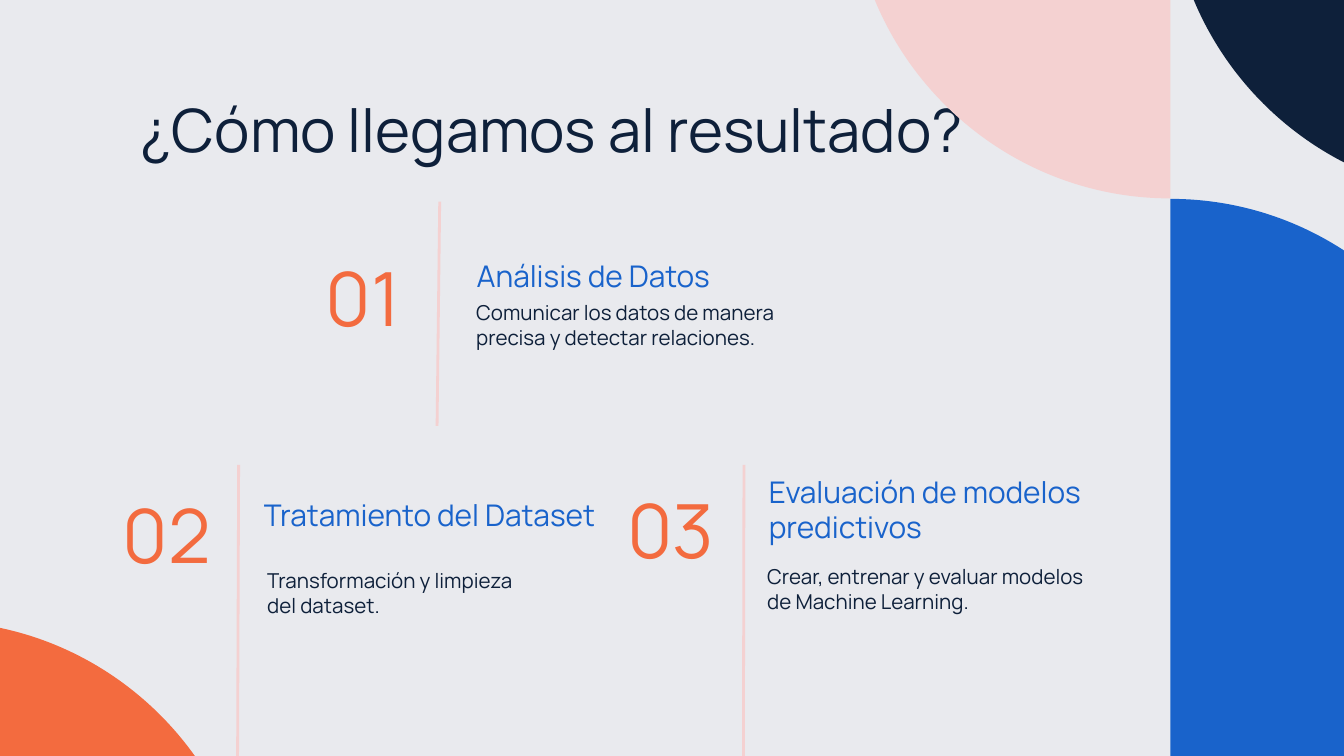
import math
from lxml import etree
from pptx import Presentation
from pptx import util as u
from pptx.dml.color import RGBColor
from pptx.enum import shapes, text
from pptx.oxml import ns

hues = {"paper": "E9EAEE", "navy": "0E203A", "pink": "F4D1D1",
        "blue": "1963CB", "orange": "F36B3F"}
top, middle = text.MSO_ANCHOR.TOP, text.MSO_ANCHOR.MIDDLE


def tint(name):
    return RGBColor.from_string(hues[name])


def write(box, words, size, hue, anchor):
    frame = box.text_frame
    frame.text = words
    frame.word_wrap = True
    frame.auto_size = text.MSO_AUTO_SIZE.NONE
    frame.vertical_anchor = anchor
    frame.margin_left = frame.margin_right = u.Cm(0.25)
    frame.margin_top = frame.margin_bottom = u.Cm(0.25)
    for para in frame.paragraphs:
        para.alignment = text.PP_ALIGN.LEFT
        for run in para.runs:
            run.font.name = "Manrope"
            run.font.size = u.Pt(size)
            run.font.color.rgb = tint(hue)


deck = Presentation()
deck.slide_width, deck.slide_height = u.Cm(25.4), u.Cm(14.29)
slide = deck.slides.add_slide(deck.slide_layouts[5])
slide.background.fill.solid()
slide.background.fill.fore_color.rgb = tint("paper")

radius, bulge = 6.04, 0.55
discs = [("navy", 28.14, -2.31, 90), ("pink", 22.12, -2.29, 90),
         ("blue", 22.12, 9.8, 270), ("orange", -1.24, 17.78, 180)]
for hue, mid_x, mid_y, start in discs:
    rays = []
    for turn in (0, 90, 180):
        angle = math.radians(start + turn)
        rays.append((radius * math.cos(angle), radius * math.sin(angle)))
    ends = [(u.Cm(mid_x + x), u.Cm(mid_y + y)) for x, y in rays]
    pen = slide.shapes.build_freeform(*ends[0])
    pen.add_line_segments(ends[1:], close=True)
    half = pen.convert_to_shape()
    half.shadow.inherit = False
    half.fill.solid()
    half.fill.fore_color.rgb = tint(hue)
    half.line.fill.background()
    sides = list(half.element.iter(ns.qn("a:lnTo")))
    for side, (ax, ay), (bx, by) in zip(sides, rays, rays[1:]):
        curve = etree.Element(ns.qn("a:cubicBezTo"))
        for x, y in [(ax + bulge * bx, ay + bulge * by),
                     (bx + bulge * ax, by + bulge * ay), (bx, by)]:
            etree.SubElement(curve, ns.qn("a:pt"),
                             x=str(u.Cm(mid_x + x) - half.left),
                             y=str(u.Cm(mid_y + y) - half.top))
        side.getparent().replace(side, curve)

title = slide.shapes.title
title.left, title.top = u.Cm(2.41), u.Cm(1.5)
title.width, title.height = u.Cm(18.82), u.Cm(1.6)
write(title, "¿Cómo llegamos al resultado?", 32, "navy", top)

steps = [
    ("01", (5.91, 4.78, 2.24, 1.65),
     "Análisis de Datos", (8.76, 4.48, 6.38, 1.47),
     "Comunicar los datos de manera precisa y detectar relaciones.",
     (8.75, 5.46, 6.38, 1.35), middle, (8.31, 3.81, 8.26, 8.05)),
    ("02", (2.07, 9.27, 2.24, 1.65),
     "Tratamiento del Dataset", (4.74, 8.97, 7.09, 1.5),
     "Transformación y limpieza\ndel dataset.",
     (4.42, 10.49, 5.92, 1.3), top, (4.51, 8.79, 4.49, 14.29)),
    ("03", (11.61, 9.17, 2.24, 1.65),
     "Evaluación de modelos predictivos", (14.28, 8.89, 7.65, 1.47),
     "Crear, entrenar y evaluar modelos\nde Machine Learning.",
     (14.25, 10.45, 7.42, 1.35), middle, (14.06, 8.79, 14.05, 14.29)),
]
for number, num_at, head, head_at, body, body_at, anchor, rule_at in steps:
    for words, place, size, hue, hold in [
            (number, num_at, 40, "orange", middle),
            (head, head_at, 16, "blue", middle),
            (body, body_at, 11, "navy", anchor)]:
        box = slide.shapes.add_textbox(*map(u.Cm, place))
        write(box, words, size, hue, hold)
        if hold == top:
            for props in box.element.iter(ns.qn("a:pPr")):
                props.set("marL", str(u.Cm(1.27)))
                props.set("indent", str(u.Cm(-0.89)))
    rule = slide.shapes.add_connector(shapes.MSO_CONNECTOR.STRAIGHT,
                                      *map(u.Cm, rule_at))
    rule.line.color.rgb = tint("pink")
    rule.line.width = u.Pt(1.5)
    etree.SubElement(rule.element.spPr, ns.qn("a:effectLst"))

deck.save("out.pptx")
